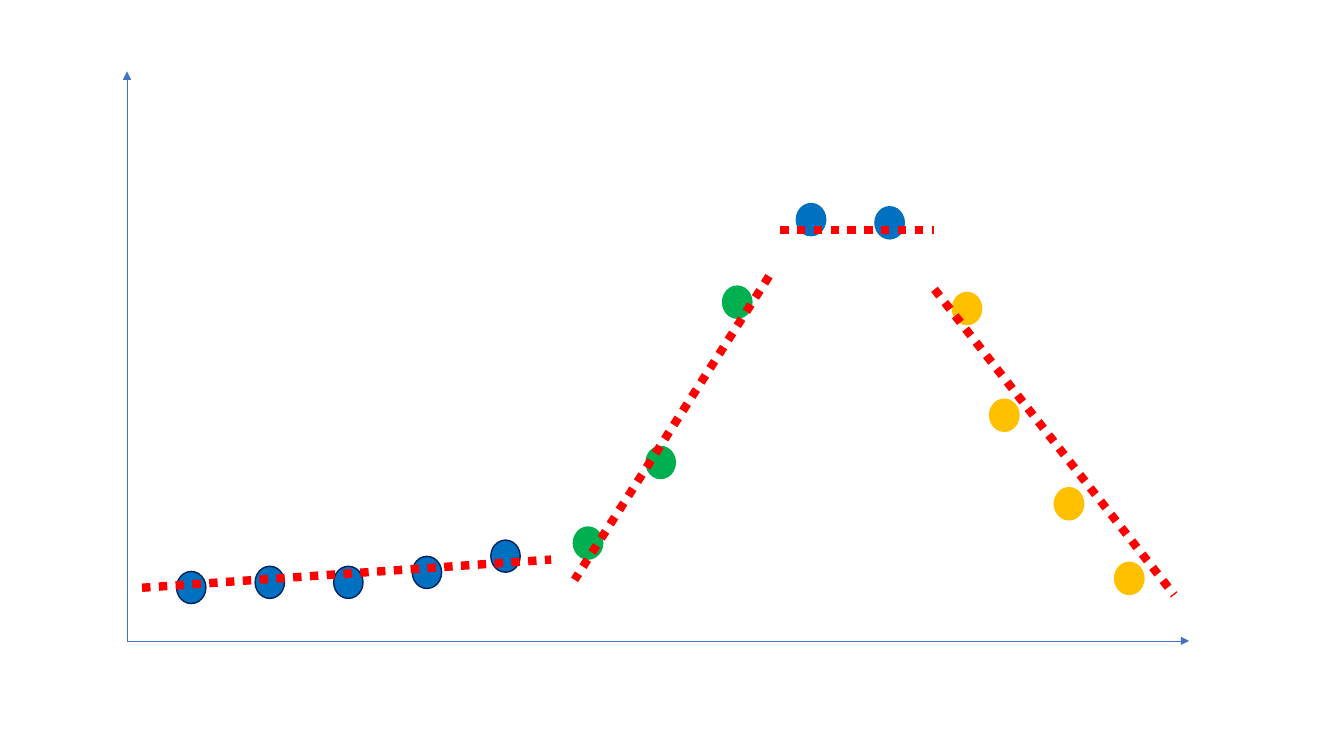
"""Build a slide of data points on two axes with a dotted trend line per phase."""
from typing import NamedTuple

from lxml.etree import SubElement
from pptx import Presentation
from pptx.dml.color import RGBColor
from pptx.enum.dml import MSO_LINE_DASH_STYLE as Dash
from pptx.enum.shapes import MSO_CONNECTOR as Link, MSO_SHAPE as Preset
from pptx.oxml.ns import qn
from pptx.shapes.autoshape import Shape
from pptx.shapes.connector import Connector
from pptx.slide import Slide
from pptx.util import Cm, Pt

AXIS_BLUE = RGBColor(0x44, 0x72, 0xC4)
BLUE = RGBColor(0x00, 0x70, 0xC0)
NAVY = RGBColor(0x00, 0x20, 0x60)
GREEN = RGBColor(0x00, 0xB0, 0x50)
AMBER = RGBColor(0xFF, 0xC0, 0x00)
RED = RGBColor(0xFF, 0x00, 0x00)

DOT_WIDTH, DOT_HEIGHT = 0.74, 0.81
AXIS_FORMAT = {"width": Pt(0.5)}
TREND_FORMAT = {"width": Pt(6), "dash_style": Dash.ROUND_DOT}
DOT_FORMAT = {"width": Pt(1)}


class Point(NamedTuple):
    x: float
    y: float


class Segment(NamedTuple):
    start: Point
    end: Point


class Phase(NamedTuple):
    fill: RGBColor
    outline: RGBColor
    dots: list[Point]
    trend: Segment


ORIGIN = Point(3.2, 16.15)
AXES = [Segment(ORIGIN, Point(29.97, ORIGIN.y)), Segment(ORIGIN, Point(ORIGIN.x, 1.8))]

FLAT_START = [Point(4.45 + 1.98 * step, top)
              for step, top in enumerate((14.4, 14.27, 14.27, 14.02, 13.61))]
PHASES = [
    Phase(BLUE, NAVY, FLAT_START, Segment(Point(3.58, 14.81), Point(13.89, 14.1))),
    Phase(GREEN, GREEN, [Point(14.45, 13.28), Point(16.28, 11.25), Point(18.21, 7.21)],
          Segment(Point(19.38, 6.96), Point(14.48, 14.61))),
    Phase(BLUE, BLUE, [Point(20.07, 5.13), Point(22.05, 5.21)],
          Segment(Point(19.66, 5.79), Point(23.55, 5.79))),
    Phase(AMBER, AMBER,
          [Point(24, 7.37), Point(24.94, 10.06), Point(26.57, 12.29), Point(28.09, 14.17)],
          Segment(Point(23.55, 7.29), Point(29.59, 14.99))),
]


def format_line(target: Shape | Connector, color: RGBColor, values: dict) -> None:
    """Colour the line of a shape and apply the format values."""
    target.line.color.rgb = color
    for name, value in values.items():
        setattr(target.line, name, value)


def draw_segment(page: Slide, segment: Segment, color: RGBColor, values: dict) -> Connector:
    """Draw a straight line without shadow."""
    ends = [Cm(length) for point in segment for length in point]
    line = page.shapes.add_connector(Link.STRAIGHT, *ends)
    format_line(line, color, values)
    SubElement(line._element.spPr, qn("a:effectLst"))
    return line


def draw_axis(page: Slide, segment: Segment) -> None:
    """Draw an axis that ends in an arrowhead."""
    axis = draw_segment(page, segment, AXIS_BLUE, AXIS_FORMAT)
    SubElement(axis._element.spPr.find(qn("a:ln")), qn("a:tailEnd"), type="triangle")


def draw_dot(page: Slide, corner: Point, phase: Phase) -> None:
    """Draw one data point in the colours of its phase."""
    dot = page.shapes.add_shape(Preset.OVAL, Cm(corner.x), Cm(corner.y),
                                Cm(DOT_WIDTH), Cm(DOT_HEIGHT))
    dot.shadow.inherit = False
    dot.fill.solid()
    dot.fill.fore_color.rgb = phase.fill
    format_line(dot, phase.outline, DOT_FORMAT)


def main() -> None:
    """Build and save the deck."""
    deck = Presentation()
    deck.slide_width, deck.slide_height = Cm(33.87), Cm(19.05)
    page = deck.slides.add_slide(deck.slide_layouts[6])
    for axis in AXES:
        draw_axis(page, axis)
    for phase in PHASES:
        for corner in phase.dots:
            draw_dot(page, corner, phase)
        draw_segment(page, phase.trend, RED, TREND_FORMAT)
    deck.save("out.pptx")


if __name__ == "__main__":
    main()
